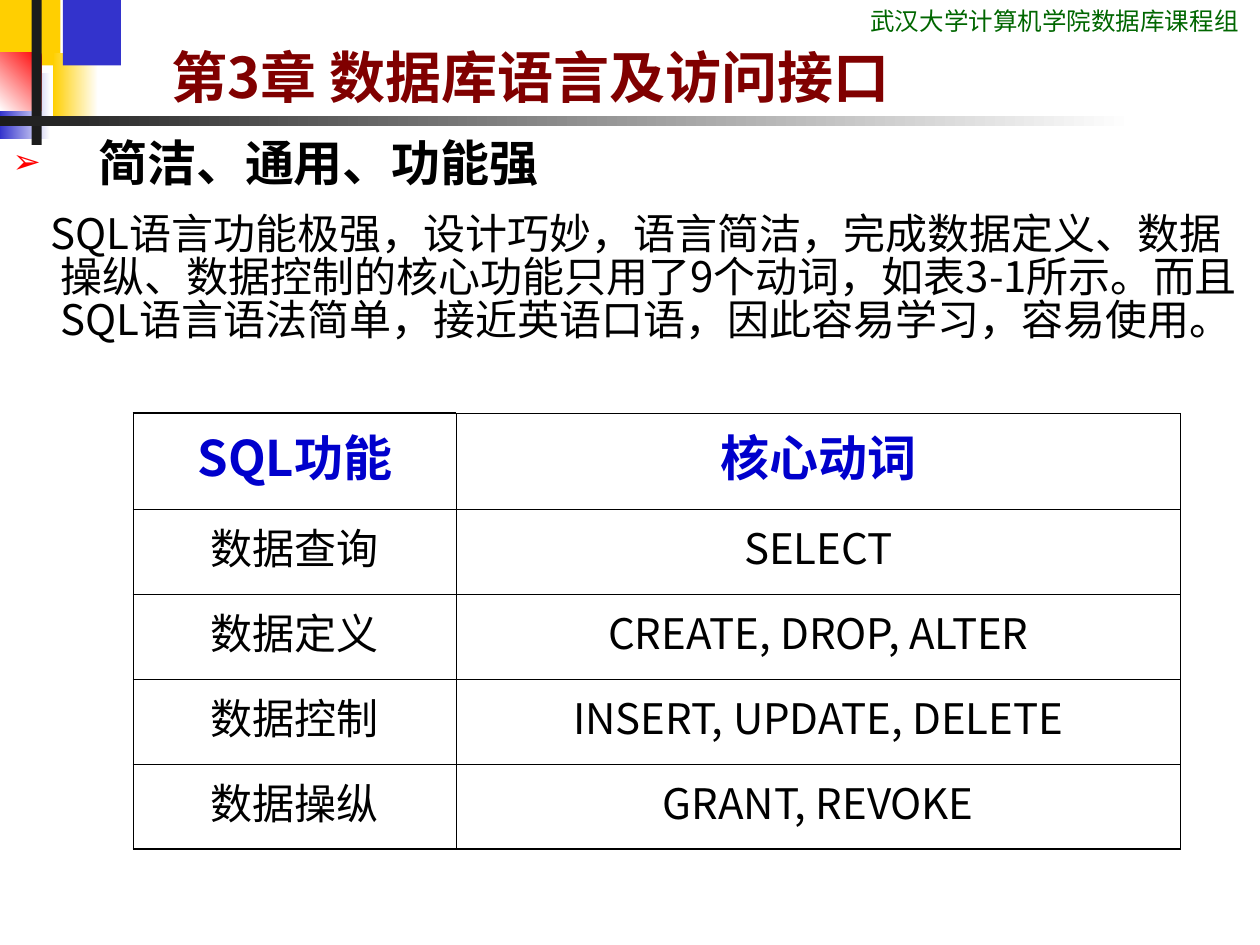
import dataclasses

import pptx
import pptx.dml.color
import pptx.enum.shapes
import pptx.enum.text
import pptx.oxml
import pptx.oxml.ns
import pptx.util
from lxml import etree

Inches = pptx.util.Inches
Pt = pptx.util.Pt
qn = pptx.oxml.ns.qn


@dataclasses.dataclass(frozen=True)
class Theme:
    font: str = "Noto Sans CJK SC"
    header_font: str = "Roboto Condensed"
    white: str = "FFFFFF"
    black: str = "000000"
    yellow: str = "FFCF01"
    blue: str = "3333CC"
    red: str = "FF0000"
    dark: str = "1C1C1C"
    header: str = "006600"
    title: str = "800000"
    table_head: str = "0000CC"
    header_size: int = 14
    title_size: int = 32
    heading_size: int = 28
    text_size: int = 24
    outer_line: float = 1.08
    inner_line: float = 0.45


THEME = Theme()


def rgb(color):
    return pptx.dml.color.RGBColor.from_string(color)


def place(shape, box):
    shape.left, shape.top, shape.width, shape.height = map(Inches, box)


def add_span(para, text, size, color, bold=False, font=THEME.font):
    span = para.add_run()
    span.text = text
    span.font.size = Pt(size)
    span.font.bold = bold
    span.font.color.rgb = rgb(color)
    span.font.name = font
    east_asian = etree.SubElement(span._r.get_or_add_rPr(), qn("a:ea"))
    east_asian.set("typeface", THEME.font)


def set_bullet(para, char=None, color=None, percent=100):
    properties = para._p.get_or_add_pPr()
    if char is None:
        etree.SubElement(properties, qn("a:buNone"))
        return
    bullet_color = etree.SubElement(properties, qn("a:buClr"))
    etree.SubElement(bullet_color, qn("a:srgbClr")).set("val", color)
    etree.SubElement(properties, qn("a:buSzPct")).set("val", str(percent * 1000))
    etree.SubElement(properties, qn("a:buChar")).set("char", char)


def set_indent(para, margin, first_line):
    properties = para._p.get_or_add_pPr()
    properties.set("marL", str(Inches(margin)))
    properties.set("indent", str(Inches(first_line)))


def add_block(page, box, start, end=None, angle=180):
    """Add a plain block, or one that blends from start to end."""
    shape = page.shapes.add_shape(
        pptx.enum.shapes.MSO_SHAPE.RECTANGLE, *map(Inches, box))
    shape.shadow.inherit = False
    shape.line.fill.background()
    if end is None:
        shape.fill.solid()
        shape.fill.fore_color.rgb = rgb(start)
        return
    shape.fill.gradient()
    shape.fill.gradient_angle = angle
    for stop, color in zip(shape.fill.gradient_stops, (start, end)):
        stop.color.rgb = rgb(color)


def add_ornament(page, box):
    """Coloured corner blocks with the crossing bars."""
    left, top, width, height = box
    blocks = [
        ((0, 0, 0.48, 0.52), THEME.yellow),
        ((0.42, 0.42, 0.36, 0.52), THEME.white, THEME.yellow),
        ((0.5, 0, 0.46, 0.52), THEME.blue),
        ((0, 0.58, 0.4, 0.52), THEME.white, THEME.blue),
        ((0, 0.42, 0.33, 0.46), THEME.red, THEME.white, 225),
        ((0.25, 0, 0.08, height), THEME.dark),
        ((0, 0.92, width, 0.08), THEME.white, THEME.dark),
    ]
    for (x, y, w, h), *colors in blocks:
        add_block(page, (left + x, top + y, w, h), *colors)


def add_header(page, box):
    shape = page.shapes.add_textbox(*map(Inches, box))
    shape.text_frame.word_wrap = True
    add_span(shape.text_frame.paragraphs[0], "武汉大学计算机学院数据库课程组",
             THEME.header_size, THEME.header, font=THEME.header_font)


def fill_title(page, box):
    title = page.shapes.title
    place(title, box)
    frame = title.text_frame
    frame.auto_size = pptx.enum.text.MSO_AUTO_SIZE.NONE
    frame.vertical_anchor = pptx.enum.text.MSO_ANCHOR.BOTTOM
    para = frame.paragraphs[0]
    para.alignment = pptx.enum.text.PP_ALIGN.LEFT
    add_span(para, "第3章 数据库语言及访问接口",
             THEME.title_size, THEME.title, bold=True)


def fill_body(page, box):
    body = page.placeholders[1]
    place(body, box)
    frame = body.text_frame
    frame.auto_size = pptx.enum.text.MSO_AUTO_SIZE.NONE
    frame.margin_top = Inches(0.12)

    # Bulleted heading
    heading = frame.paragraphs[0]
    set_bullet(heading, "➢", THEME.red, 69)
    set_indent(heading, 0.68, -0.68)
    heading.space_before = Pt(0)
    add_span(heading, "简洁、通用、功能强",
             THEME.heading_size, THEME.black, bold=True)

    # Explanation
    text = frame.add_paragraph()
    set_bullet(text)
    set_indent(text, 0.38, -0.08)
    text.space_before = Pt(14)
    add_span(text, "SQL语言功能极强，设计巧妙，语言简洁，完成数据定义、数据操纵、"
             "数据控制的核心功能只用了9个动词，如表3-1所示。而且SQL语言语法简单，"
             "接近英语口语，因此容易学习，容易使用。",
             THEME.text_size, THEME.black)
    for para in frame.paragraphs:
        para.line_spacing = 0.85


def set_borders(cell, **widths):
    properties = cell._tc.get_or_add_tcPr()
    for side in "LRTB":
        line = etree.SubElement(properties, qn("a:ln" + side))
        line.set("w", str(Pt(widths[side])))
        fill = etree.SubElement(line, qn("a:solidFill"))
        etree.SubElement(fill, qn("a:srgbClr")).set("val", THEME.black)


def add_verb_table(page, box):
    rows = [
        ("SQL功能", "核心动词"),
        ("数据查询", "SELECT"),
        ("数据定义", "CREATE, DROP, ALTER"),
        ("数据控制", "INSERT, UPDATE, DELETE"),
        ("数据操纵", "GRANT, REVOKE"),
    ]
    table = page.shapes.add_table(len(rows), 2, *map(Inches, box)).table
    table.first_row = table.horz_banding = False
    head_height, first_width = 0.76, 2.56
    table.columns[0].width = Inches(first_width)
    table.columns[1].width = Inches(box[2] - first_width)
    outer, inner = THEME.outer_line, THEME.inner_line
    last = len(rows) - 1
    for i, row in enumerate(rows):
        head = i == 0
        table.rows[i].height = Inches(
            head_height if head else (box[3] - head_height) / last)
        for j, text in enumerate(row):
            cell = table.cell(i, j)
            set_borders(cell, L=inner if j else outer, R=outer if j else inner,
                        T=outer if head and j == 0 else inner,
                        B=outer if i == last else inner)
            cell.fill.background()
            para = cell.text_frame.paragraphs[0]
            para.alignment = pptx.enum.text.PP_ALIGN.CENTER
            add_span(para, text,
                     THEME.heading_size if head else THEME.text_size,
                     THEME.table_head if head else THEME.black, bold=head)


def main():
    deck = pptx.Presentation()
    deck.slide_width, deck.slide_height = Inches(10), Inches(7.5)
    page = deck.slides.add_slide(deck.slide_layouts[1])
    add_ornament(page, (0, 0, 9, 1.15))
    add_header(page, (6.81, 0, 3.19, 0.34))
    fill_title(page, (1.26, 0, 6.82, 0.92))
    fill_body(page, (0, 1, 10, 6.33))
    add_verb_table(page, (1.06, 3.28, 8.31, 3.46))
    deck.save("out.pptx")


if __name__ == "__main__":
    main()
